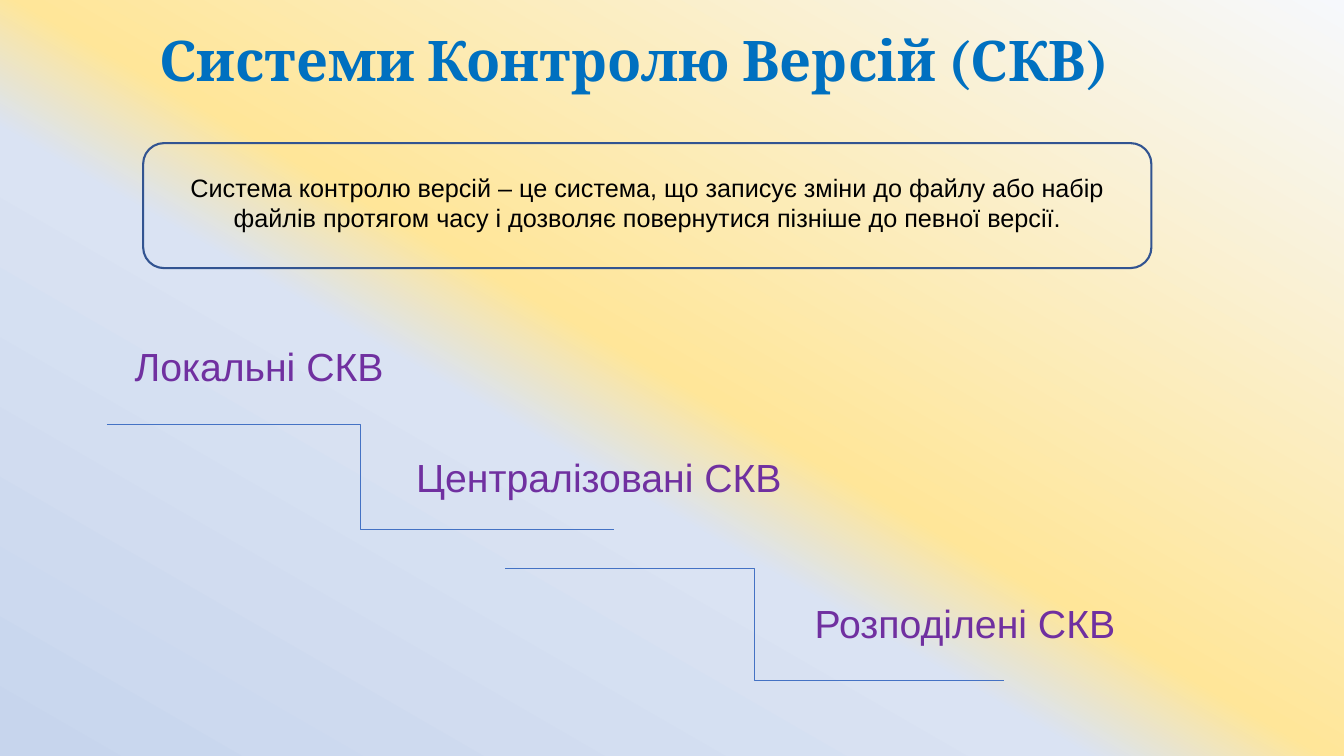
from lxml import etree
from pptx import Presentation
from pptx.dml.color import RGBColor
from pptx.enum import shapes, text
from pptx.oxml.ns import qn
from pptx.util import Inches, Pt

COLORS = {
    "title": "0070C0",
    "body": "000000",
    "kind": "7030A0",
    "frame": "325491",
    "step": "4472C4",
}
BACKGROUND = [(0, "F6F8FC"), (50, "FFE699"), (59, "DAE3F3"), (100, "C7D5ED")]

TITLE = {"size": Pt(40), "name": "Cambria", "bold": True}
BODY = {"size": Pt(18), "name": "Arial"}
KIND = {"size": Pt(28), "name": "Arial"}

KINDS = [
    ("Локальні СКВ", 0.49, 3.35),
    ("Централізовані СКВ", 3.86, 4.45),
    ("Розподілені СКВ", 7.49, 5.9),
]
STEPS = [(1.06, 4.21, 6.09, 5.25), (5.01, 5.64, 9.96, 6.75)]


def rgb(name):
    return RGBColor.from_string(COLORS[name])


def paint_background(s):
    fill = s.background.fill
    fill.gradient()
    fill.gradient_angle = 240
    stops = s._element.find(".//" + qn("a:gsLst"))
    for stop in list(stops):
        stops.remove(stop)
    for percent, color in BACKGROUND:
        stop = etree.SubElement(stops, qn("a:gs"), pos=str(percent * 1000))
        etree.SubElement(stop, qn("a:srgbClr"), val=color)


def add_text(s, words, box, font, color, anchor=text.MSO_ANCHOR.TOP, spacing=1.0):
    tf = s.shapes.add_textbox(*map(Inches, box)).text_frame
    tf.word_wrap = True
    tf.vertical_anchor = anchor
    p = tf.paragraphs[0]
    p.alignment = text.PP_ALIGN.CENTER
    p.line_spacing = spacing
    r = p.add_run()
    r.text = words
    for key, value in font.items():
        setattr(r.font, key, value)
    r.font.color.rgb = rgb(color)


def add_frame(s, box):
    sp = s.shapes.add_shape(shapes.MSO_SHAPE.ROUNDED_RECTANGLE, *map(Inches, box))
    sp.shadow.inherit = False
    sp.fill.background()
    sp.line.color.rgb = rgb("frame")
    sp.line.width = Pt(1.5)


def add_step(s, ends):
    step = s.shapes.add_connector(shapes.MSO_CONNECTOR.ELBOW, *map(Inches, ends))
    step.line.color.rgb = rgb("step")
    step.line.width = Pt(0.5)
    etree.SubElement(step._element.spPr, qn("a:effectLst"))


def main():
    prs = Presentation()
    prs.slide_width, prs.slide_height = Inches(13.33), Inches(7.5)
    s = prs.slides.add_slide(prs.slide_layouts[6])
    paint_background(s)
    add_frame(s, (1.42, 1.42, 10, 1.24))
    add_text(s, "Системи Контролю Версій (СКВ)", (1.29, 0.04, 10, 0.94),
             TITLE, "title", text.MSO_ANCHOR.BOTTOM, 0.9)
    add_text(s, "Система контролю версій – це система, що записує зміни до файлу "
             "або набір файлів протягом часу і дозволяє повернутися пізніше "
             "до певної версії.", (1.63, 1.66, 9.58, 0.71), BODY, "body")
    for words, left, top in KINDS:
        add_text(s, words, (left, top, 4.16, 0.57), KIND, "kind")
    for ends in STEPS:
        add_step(s, ends)
    prs.save("out.pptx")


if __name__ == "__main__":
    main()
